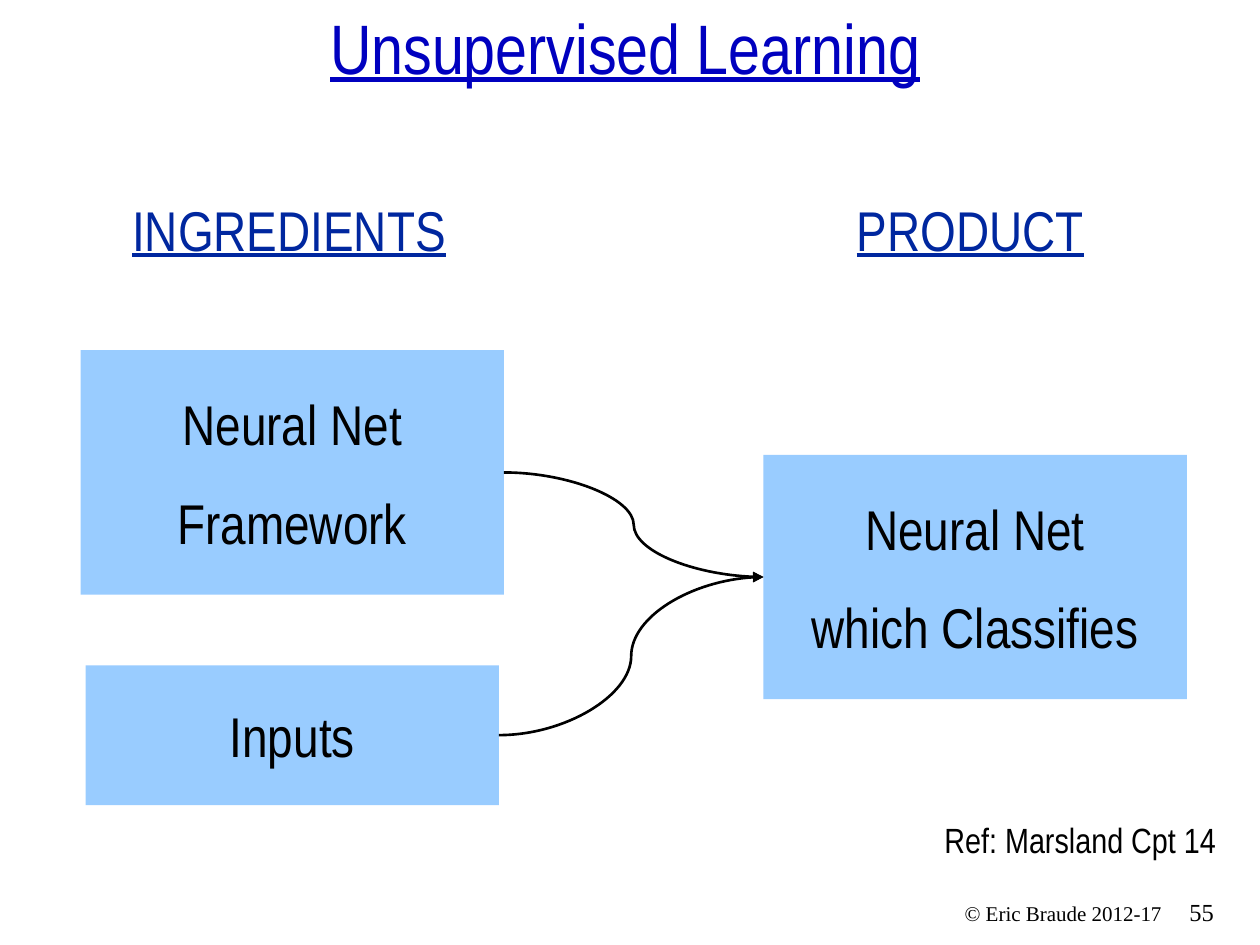
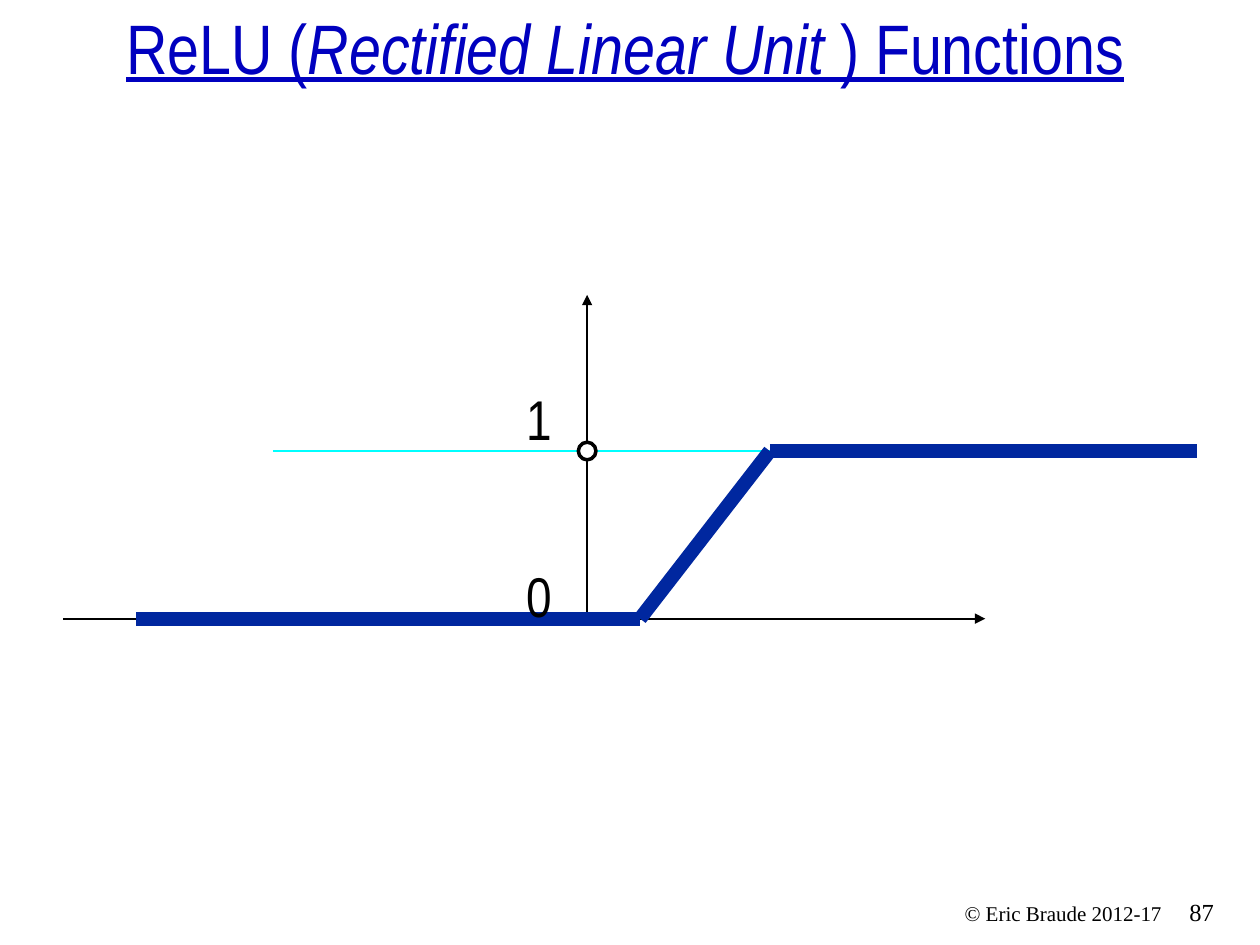
from lxml import etree
from pptx import Presentation
from pptx.dml.color import RGBColor
from pptx.enum.shapes import MSO_CONNECTOR, MSO_SHAPE
from pptx.enum.text import MSO_ANCHOR, MSO_AUTO_SIZE, PP_ALIGN
from pptx.oxml.ns import qn
from pptx.util import Pt

STRAIGHT, CURVE = MSO_CONNECTOR.STRAIGHT, MSO_CONNECTOR.CURVE
RECTANGLE, OVAL = MSO_SHAPE.RECTANGLE, MSO_SHAPE.OVAL
LEFT, CENTER, RIGHT = PP_ALIGN.LEFT, PP_ALIGN.CENTER, PP_ALIGN.RIGHT
MIDDLE, BOTTOM = MSO_ANCHOR.MIDDLE, MSO_ANCHOR.BOTTOM
FIXED, GROW = MSO_AUTO_SIZE.NONE, MSO_AUTO_SIZE.SHAPE_TO_FIT_TEXT

BLACK = RGBColor(0x00, 0x00, 0x00)
WHITE = RGBColor(0xFF, 0xFF, 0xFF)
TITLE_BLUE = RGBColor(0x00, 0x00, 0xBF)
DARK_BLUE = RGBColor(0x00, 0x27, 0x9F)
BOX_BLUE = RGBColor(0x99, 0xCC, 0xFF)
CYAN = RGBColor(0x00, 0xFF, 0xFF)

SANS, SERIF = "Arial Narrow", "Times New Roman"
EMU_PER_PX = 9144
SLIDE_WIDTH, SLIDE_HEIGHT = 1000, 750
TITLE_AREA = (0, 21, 992, 54)
NUMBER_AREA = (934, 707, 58, 33)
COPYRIGHT_AREA = (665, 710, 267, 30)
COPYRIGHT = "© Eric Braude 2012-17"
TITLE_ONLY = 5
LEFT_SIDE, RIGHT_SIDE = 1, 3

LEARNING = {
    "title": "Unsupervised Learning",
    "number": "55",
    "headings": [("INGREDIENTS", (95, 150, 275, 64)), ("PRODUCT", (670, 150, 208, 64))],
    "ingredients": [
        (["Neural Net", "Framework"], (64, 278, 336, 194)),
        (["Inputs"], (68, 528, 328, 111)),
    ],
    "product": (["Neural Net", "which Classifies"], (606, 361, 336, 194)),
    "reference": ("Ref: Marsland Cpt 14", (483, 645, 492, 44)),
}

ZERO_Y, ONE_Y, ORIGIN_X = 491, 358, 466
RAMP_START, RAMP_END = (508, ZERO_Y), (611, ONE_Y)
RELU = {
    "title": "ReLU (_Rectified Linear Unit _) Functions",
    "number": "87",
    "axes": [
        ((ORIGIN_X, ZERO_Y), (ORIGIN_X, 234)),
        ((50, ZERO_Y), (782, ZERO_Y)),
    ],
    "level": ((217, ONE_Y), (749, ONE_Y)),
    "curve": [(108, ZERO_Y), RAMP_START, RAMP_END, (950, ONE_Y)],
    "labels": [("1", 300), ("0", 441)],
    "marker_size": 14,
}


def px(*lengths):
    return [length * EMU_PER_PX for length in lengths]


def write(frame, paragraphs, size=32, color=BLACK, font=SANS, align=LEFT,
          underline=False, anchor=None, wrap=True, auto_size=FIXED):
    frame.word_wrap = wrap
    frame.auto_size = auto_size
    if anchor is not None:
        frame.vertical_anchor = anchor
    for index, text in enumerate(paragraphs):
        paragraph = frame.add_paragraph() if index else frame.paragraphs[0]
        paragraph.alignment = align
        if index:
            paragraph.space_before = Pt(18)
        for part, piece in enumerate(text.split("_")):
            run = paragraph.add_run()
            run.text = piece
            run.font.name = font
            run.font.size = Pt(size)
            run.font.color.rgb = color
            run.font.underline = underline
            run.font.italic = part % 2 == 1


def add_text(slide, text, area, **text_format):
    shape = slide.shapes.add_textbox(*px(*area))
    write(shape.text_frame, [text], auto_size=GROW, **text_format)


def add_filled(slide, kind, area, fill):
    shape = slide.shapes.add_shape(kind, *px(*area))
    shape.shadow.inherit = False
    shape.fill.solid()
    shape.fill.fore_color.rgb = fill
    shape.line.fill.background()
    return shape


def add_box(slide, paragraphs, area):
    box = add_filled(slide, RECTANGLE, area, BOX_BLUE)
    write(box.text_frame, paragraphs, align=CENTER, anchor=MIDDLE, wrap=False)
    return box


def add_line(slide, start, end, kind=STRAIGHT, color=BLACK, width=1, arrow=False):
    connector = slide.shapes.add_connector(kind, *px(*start, *end))
    connector.line.color.rgb = color
    connector.line.width = Pt(width)
    if arrow:
        etree.SubElement(connector.line._get_or_add_ln(), qn("a:tailEnd"), type="triangle")
    etree.SubElement(connector._element.spPr, qn("a:effectLst"))
    return connector


def add_slide(presentation, content):
    slide = presentation.slides.add_slide(presentation.slide_layouts[TITLE_ONLY])
    title = slide.shapes.title
    title.left, title.top, title.width, title.height = px(*TITLE_AREA)
    write(title.text_frame, [content["title"]], size=40, color=TITLE_BLUE,
          align=CENTER, underline=True, anchor=BOTTOM)
    add_text(slide, content["number"], NUMBER_AREA, size=14, font=SERIF)
    add_text(slide, COPYRIGHT, COPYRIGHT_AREA, size=12, font=SERIF, align=RIGHT)
    return slide


def build_learning(presentation):
    slide = add_slide(presentation, LEARNING)
    for heading, area in LEARNING["headings"]:
        add_text(slide, heading, area, color=DARK_BLUE, underline=True)
    product = add_box(slide, *LEARNING["product"])
    for paragraphs, area in LEARNING["ingredients"]:
        ingredient = add_box(slide, paragraphs, area)
        arrow = add_line(slide, (0, 0), (1, 1), kind=CURVE, width=1.5, arrow=True)
        arrow.begin_connect(ingredient, RIGHT_SIDE)
        arrow.end_connect(product, LEFT_SIDE)
    reference, area = LEARNING["reference"]
    add_text(slide, reference, area, size=20, align=RIGHT)


def build_relu(presentation):
    slide = add_slide(presentation, RELU)
    for start, end in RELU["axes"]:
        add_line(slide, start, end, arrow=True)
    add_line(slide, *RELU["level"], color=CYAN)
    size = RELU["marker_size"]
    marker_area = (ORIGIN_X - size // 2, ONE_Y - size // 2, size, size)
    marker = add_filled(slide, OVAL, marker_area, WHITE)
    marker.line.color.rgb = BLACK
    marker.line.width = Pt(2)
    points = RELU["curve"]
    for start, end in zip(points, points[1:]):
        add_line(slide, start, end, color=DARK_BLUE, width=8)
    for label, top in RELU["labels"]:
        add_text(slide, label, (408, top, 50, 64))


def main():
    presentation = Presentation()
    presentation.slide_width, presentation.slide_height = px(SLIDE_WIDTH, SLIDE_HEIGHT)
    build_learning(presentation)
    build_relu(presentation)
    presentation.save("out.pptx")


if __name__ == "__main__":
    main()
